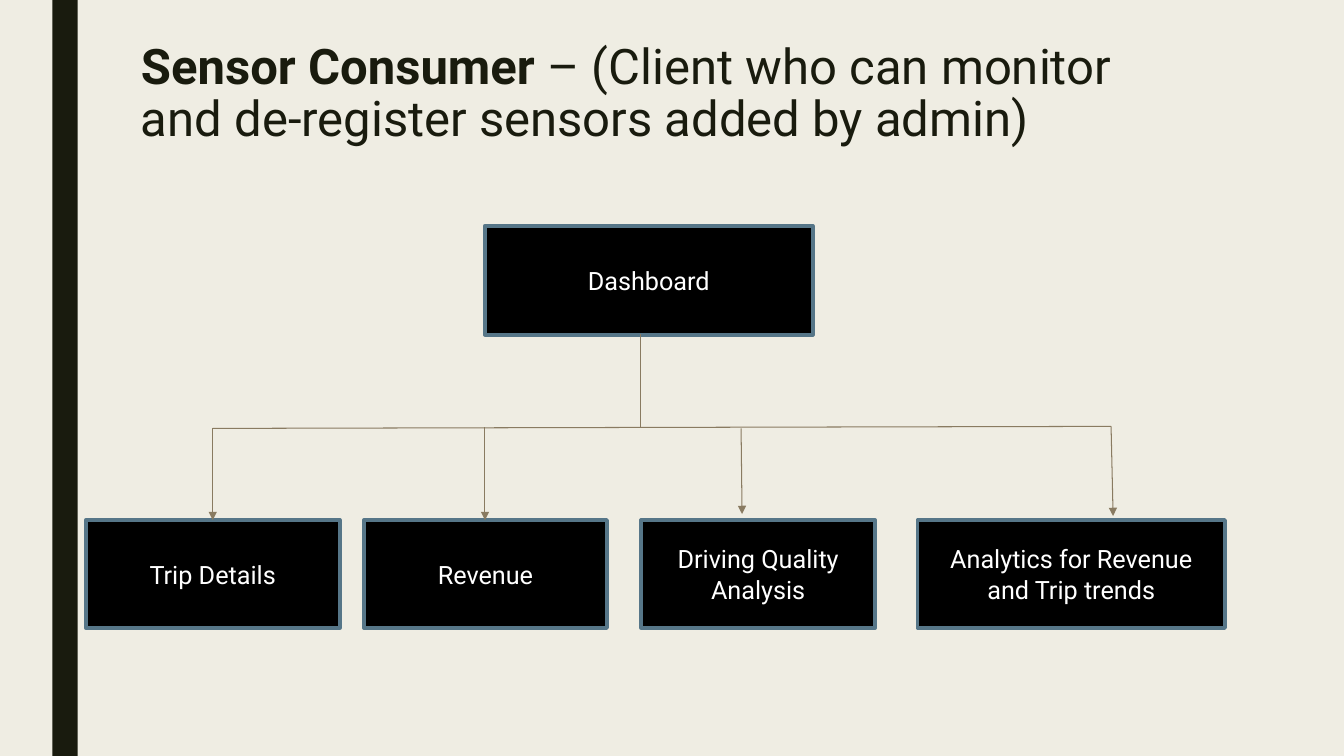
from lxml import etree
from pptx import Presentation
from pptx.dml.color import RGBColor
from pptx.enum.shapes import MSO_CONNECTOR, MSO_SHAPE
from pptx.enum.text import MSO_ANCHOR, PP_ALIGN
from pptx.oxml.ns import qn
from pptx.util import Inches, Pt

RECT = MSO_SHAPE.RECTANGLE
LINE = MSO_CONNECTOR.STRAIGHT
CENTER = PP_ALIGN.CENTER
LEFT = PP_ALIGN.LEFT
TOP = MSO_ANCHOR.TOP
MIDDLE = MSO_ANCHOR.MIDDLE

COLORS = {
    "paper": "EFEDE3",
    "ink": "191B0E",
    "box": "000000",
    "edge": "567688",
    "label": "FFFFFF",
    "arrow": "897B61",
}


def color(name):
    return RGBColor.from_string(COLORS[name])


class Chart:
    font = "Roboto"

    def __init__(self, slide):
        self.slide = slide
        fill = slide.background.fill
        fill.solid()
        fill.fore_color.rgb = color("paper")

    def style(self, run, size, tone, bold=False):
        run.font.name = self.font
        run.font.size = Pt(size)
        run.font.bold = bold
        run.font.color.rgb = color(tone)

    def rect(self, x, y, w, h, tone):
        shape = self.slide.shapes.add_shape(
            RECT, Inches(x), Inches(y), Inches(w), Inches(h))
        shape.shadow.inherit = False
        shape.fill.solid()
        shape.fill.fore_color.rgb = color(tone)
        shape.line.fill.background()
        return shape

    def title(self, x, y, w, h, parts):
        frame = self.slide.shapes.add_textbox(
            Inches(x), Inches(y), Inches(w), Inches(h)).text_frame
        frame.word_wrap = True
        frame.vertical_anchor = TOP
        para = frame.paragraphs[0]
        para.alignment = LEFT
        para.line_spacing = 0.89
        for text, bold in parts:
            run = para.add_run()
            run.text = text
            self.style(run, 35, "ink", bold)

    def box(self, x, y, w, h, text):
        shape = self.rect(x, y, w, h, "box")
        shape.line.color.rgb = color("edge")
        shape.line.width = Pt(2.75)
        frame = shape.text_frame
        frame.word_wrap = True
        frame.vertical_anchor = MIDDLE
        frame.text = text
        para = frame.paragraphs[0]
        para.alignment = CENTER
        self.style(para.runs[0], 18, "label")

    def line(self, x1, y1, x2, y2, arrow=False):
        link = self.slide.shapes.add_connector(
            LINE, Inches(x1), Inches(y1), Inches(x2), Inches(y2))
        link.line.color.rgb = color("arrow")
        link.line.width = Pt(0.75)
        if arrow:
            tail = etree.SubElement(link.line._get_or_add_ln(), qn("a:tailEnd"))
            tail.set("type", "triangle")
        etree.SubElement(link._element.spPr, qn("a:effectLst"))


def main():
    deck = Presentation()
    deck.slide_width = Inches(13.33)
    deck.slide_height = Inches(7.5)
    chart = Chart(deck.slides.add_slide(deck.slide_layouts[6]))

    # Side bar and title
    chart.rect(0.52, 0, 0.25, 7.5, "ink")
    chart.title(1.3, 0.37, 10.29, 1.38, [
        ("Sensor Consumer ", True),
        ("– (Client who can monitor and de-register sensors added by admin)",
         False),
    ])

    # Dashboard and its views
    chart.box(4.81, 2.24, 3.25, 1.08, "Dashboard")
    views = [
        (0.85, 2.52, "Trip Details"),
        (3.61, 2.41, "Revenue"),
        (6.36, 2.32, "Driving Quality Analysis"),
        (9.1, 3.05, "Analytics for Revenue and Trip trends"),
    ]
    for x, w, text in views:
        chart.box(x, 5.16, w, 1.07, text)

    # Trunk, crossbar and arrows to the views
    chart.line(2.11, 4.25, 11.02, 4.23)
    arrows = [
        (2.11, 4.25, 2.11, 5.16),
        (4.81, 4.24, 4.81, 5.16),
        (7.35, 4.25, 7.36, 5.1),
        (11.02, 4.23, 11.04, 5.12),
    ]
    for ends in arrows:
        chart.line(*ends, arrow=True)
    chart.line(6.35, 3.31, 6.35, 4.25)

    deck.save("out.pptx")


if __name__ == "__main__":
    main()
